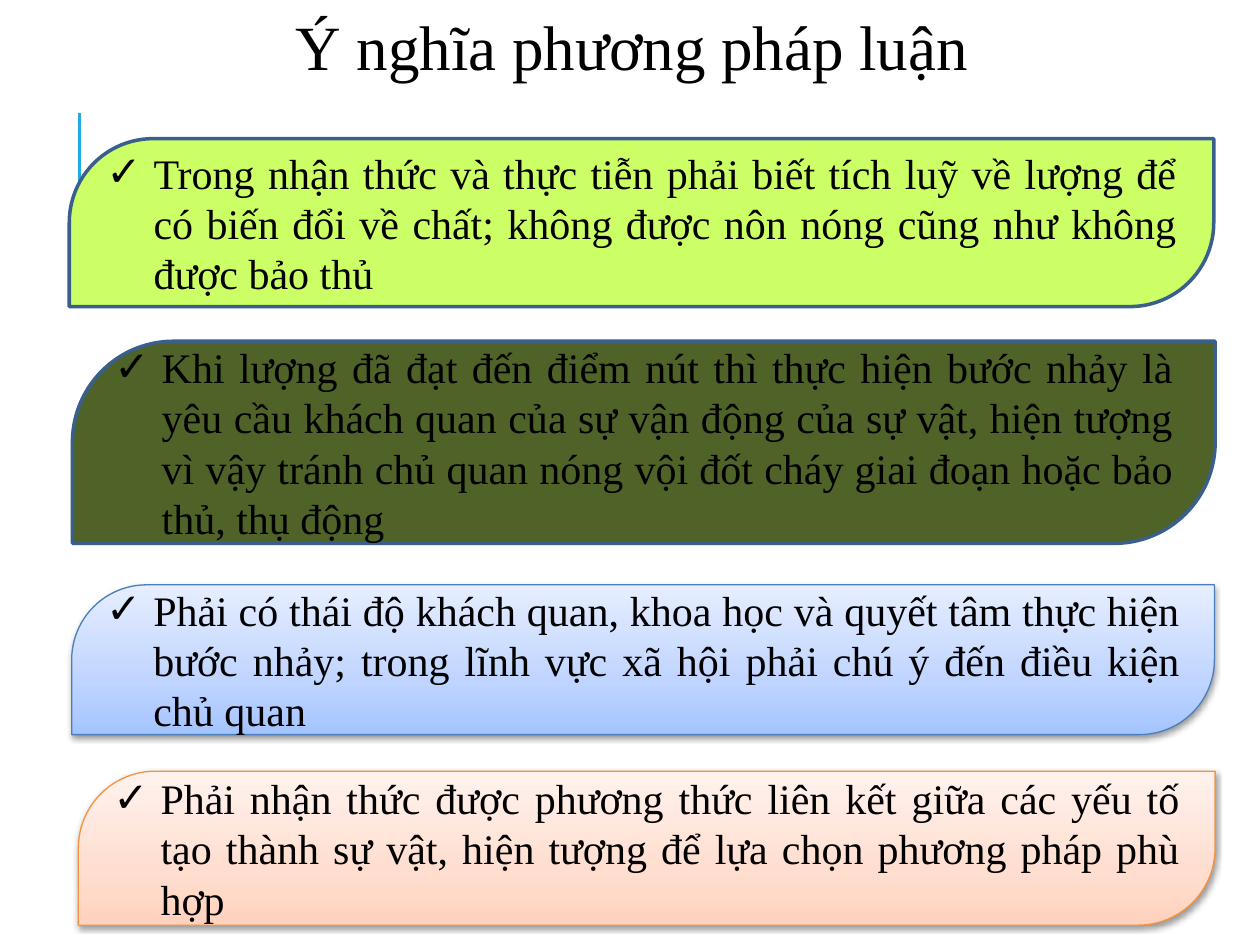
from dataclasses import dataclass

from lxml import etree
from pptx import Presentation
from pptx.dml.color import RGBColor
from pptx.enum import shapes, text
from pptx.oxml import ns, parse_xml
from pptx.util import Pt


@dataclass
class Theme:
    font: str = "Times New Roman"
    ink: str = "000000"
    rule: str = "1CADE4"
    edge: str = "3A5F8C"
    head: int = 36
    body: int = 24


theme = Theme()
NS = ns.nsdecls("a")


def write(shape, words, size, align, bullet=None, spacing=None):
    frame = shape.text_frame
    frame.word_wrap = True
    frame.vertical_anchor = text.MSO_ANCHOR.MIDDLE
    para = frame.paragraphs[0]
    para.alignment = align
    if spacing:
        para.line_spacing = spacing
    if bullet:
        props = para._p.get_or_add_pPr()
        props.set("marL", str(Pt(27)))
        props.set("indent", str(-Pt(27)))
        etree.SubElement(props, ns.qn("a:buFont")).set("typeface", "Arial")
        etree.SubElement(props, ns.qn("a:buChar")).set("char", bullet)
    run = para.add_run()
    run.text = words
    run.font.name = theme.font
    run.font.size = Pt(size)
    run.font.color.rgb = RGBColor.from_string(theme.ink)


def blend(shape, colors):
    """Fill with a gradient rising from the bottom, and add a soft shadow."""
    stops = "".join(
        f'<a:gs pos="{pos}000"><a:srgbClr val="{color}"/></a:gs>'
        for pos, color in zip((0, 35, 100), colors))
    props = shape._element.spPr
    props.find(ns.qn("a:prstGeom")).addnext(parse_xml(
        f'<a:gradFill {NS} rotWithShape="1"><a:gsLst>{stops}</a:gsLst>'
        '<a:lin ang="16200000" scaled="0"/></a:gradFill>'))
    props.find(ns.qn("a:effectLst")).append(parse_xml(
        f'<a:outerShdw {NS} blurRad="{Pt(3.1)}" dist="{Pt(1.6)}" dir="5400000" '
        f'rotWithShape="0"><a:srgbClr val="{theme.ink}"><a:alpha val="38000"/>'
        '</a:srgbClr></a:outerShdw>'))


deck = Presentation()
deck.slide_width, deck.slide_height = Pt(720), Pt(540)
slide = deck.slides.add_slide(deck.slide_layouts[6])

rule = slide.shapes.add_connector(
    shapes.MSO_CONNECTOR.STRAIGHT, Pt(45.3), Pt(136.8), Pt(45.3), Pt(64.8))
rule.line.color.rgb = RGBColor.from_string(theme.rule)
rule.line.width = Pt(1.5)
etree.SubElement(rule._element.spPr, ns.qn("a:effectLst"))

title = slide.shapes.add_textbox(Pt(28), Pt(-8), Pt(666), Pt(72.8))
write(title, "Ý nghĩa phương pháp luận", theme.head,
      text.PP_ALIGN.CENTER, spacing=0.9)

# Box (left, top, width, height), fill colours, line colour, line width, words
cards = [
    ((39.6, 79.2, 654, 96), ["CCFF66"], theme.edge, 2,
     "Trong nhận thức và thực tiễn phải biết tích luỹ về lượng để có biến đổi "
     "về chất; không được nôn nóng cũng như không được bảo thủ"),
    ((41.4, 195, 653, 115.5), ["4F6228"], theme.edge, 2,
     "Khi lượng đã đạt đến điểm nút thì thực hiện bước nhảy là yêu cầu khách "
     "quan của sự vận động của sự vật, hiện tượng vì vậy tránh chủ quan nóng "
     "vội đốt cháy giai đoạn hoặc bảo thủ, thụ động"),
    ((41, 334.2, 653, 85.6), ["A4C4FF", "BFD4FF", "E6EEFF"], "4B7EBC", 0.75,
     "Phải có thái độ khách quan, khoa học và quyết tâm thực hiện bước nhảy; "
     "trong lĩnh vực xã hội phải chú ý đến điều kiện chủ quan"),
    ((44.8, 440.7, 649.6, 88), ["FFD2BD", "FFDED0", "FFF2ED"], "F69240", 0.75,
     "Phải nhận thức được phương thức liên kết giữa các yếu tố tạo thành sự "
     "vật, hiện tượng để lựa chọn phương pháp phù hợp"),
]
for box, colors, edge, width, words in cards:
    card = slide.shapes.add_shape(
        shapes.MSO_SHAPE.ROUND_2_DIAG_RECTANGLE, *map(Pt, box))
    card.adjustments[0] = 0.5
    card.adjustments[1] = 0
    card.shadow.inherit = False
    card.line.color.rgb = RGBColor.from_string(edge)
    card.line.width = Pt(width)
    if len(colors) == 1:
        card.fill.solid()
        card.fill.fore_color.rgb = RGBColor.from_string(colors[0])
    else:
        blend(card, colors)
    write(card, words, theme.body, text.PP_ALIGN.JUSTIFY, bullet="✓")

deck.save("out.pptx")
